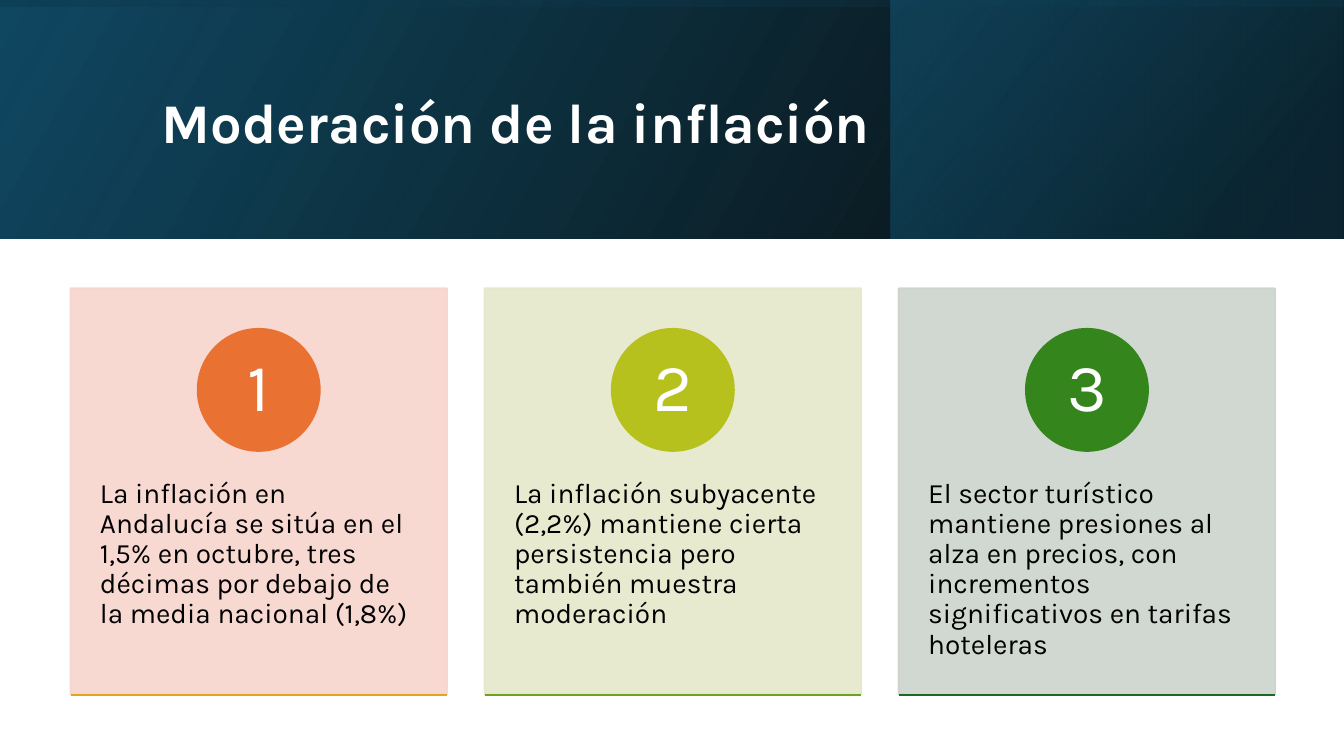
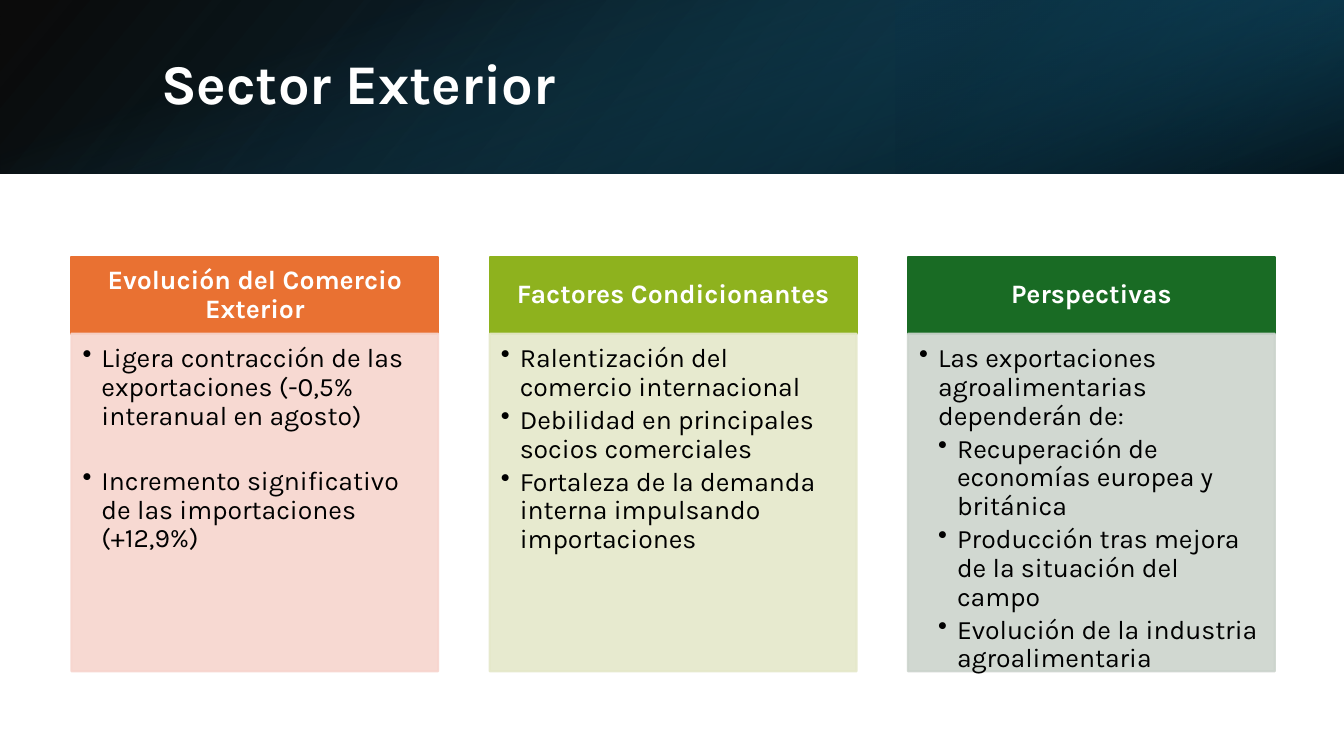
"""Builds two slides on inflation and foreign trade, with gradient title bands."""
from lxml import etree
from pptx import Presentation
from pptx.dml import color
from pptx.enum import shapes, text
from pptx.oxml import ns
from pptx.util import Pt

WIDTH, HEIGHT = 960, 540
FONT = "Karla"
WHITE, BLACK = "FFFFFF", "000000"
NAVY, DEEP, TEAL = "104862", "0B3041", "156082"
ORANGE, FOREST = "E97132", "196B24"
TINTS = ["F7D5CE", "E5E8CA", "CCD4CD"]
TINT_ALPHA = 90

# Gradient stops are (position, colour, opacity)
INFLATION = {
    "title": "Moderación de la inflación",
    "title_box": (108.6, 27.4, 765.4, 123.8),
    "band_height": 170.6,
    "bands": [
        {"left": 0, "turn": 0, "flip": True, "angle": 330,
         "stops": [(0, BLACK, 96), (100, NAVY, 100)]},
        {"left": 636.4, "turn": 0, "flip": True, "angle": 320,
         "stops": [(19, DEEP, 68), (100, TEAL, 48)]},
        {"left": 0, "turn": 270, "flip": True, "angle": 350,
         "stops": [(23, NAVY, 16), (99, BLACK, 45)]},
    ],
    "cards": [
        ("La inflación en Andalucía se sitúa en el 1,5% en octubre, tres décimas "
         "por debajo de la media nacional (1,8%)", ORANGE, "E0A61D"),
        ("La inflación subyacente (2,2%) mantiene cierta persistencia pero también "
         "muestra moderación", "B7C11E", "6BA31D"),
        ("El sector turístico mantiene presiones al alza en precios, con incrementos "
         "significativos en tarifas hoteleras", "34861C", FOREST),
    ],
}

# Bullets are (level, text, space after)
TRADE = {
    "title": "Sector Exterior",
    "title_box": (108, 27.4, 790.6, 69.1),
    "band_height": 124,
    "bands": [
        {"left": 0, "turn": 0, "flip": True, "angle": 140,
         "stops": [(0, BLACK, 96), (100, NAVY, 100)]},
        {"left": 640, "turn": 180, "flip": True, "angle": 320,
         "stops": [(19, DEEP, 68), (100, TEAL, 79)]},
        {"left": 0, "turn": 90, "flip": False, "angle": 340,
         "stops": [(23, TEAL, 0), (99, BLACK, 74)]},
    ],
    "columns": [
        ("Evolución del Comercio Exterior", ORANGE, [
            (1, "Ligera contracción de las exportaciones (-0,5% interanual en agosto)", 26),
            (1, "Incremento significativo de las importaciones (+12,9%)", 3)]),
        ("Factores Condicionantes", "8EB21E", [
            (1, "Ralentización del comercio internacional", 3),
            (1, "Debilidad en principales socios comerciales", 3),
            (1, "Fortaleza de la demanda interna impulsando importaciones", 3)]),
        ("Perspectivas", FOREST, [
            (1, "Las exportaciones agroalimentarias dependerán de:", 3),
            (2, "Recuperación de economías europea y británica", 3),
            (2, "Producción tras mejora de la situación del campo", 3),
            (2, "Evolución de la industria agroalimentaria", 3)]),
    ],
}


def rgb(value):
    return color.RGBColor.from_string(value)


def set_opacity(shape, opacities):
    colours = list(shape.element.spPr.iter(ns.qn("a:srgbClr")))
    for colour, opacity in zip(colours, opacities):
        if opacity < 100:
            etree.SubElement(colour, ns.qn("a:alpha"), val=str(opacity * 1000))


def add_block(page, kind, frame, fill, opacity=100):
    block = page.shapes.add_shape(kind, *map(Pt, frame))
    block.shadow.inherit = False
    block.fill.solid()
    block.fill.fore_color.rgb = block.line.color.rgb = rgb(fill)
    block.line.width = Pt(1.5)
    set_opacity(block, (opacity, opacity))
    return block


def set_frame(box, anchor, margins):
    frame = box.text_frame
    frame.word_wrap = True
    frame.vertical_anchor = anchor
    (frame.margin_left, frame.margin_top,
     frame.margin_right, frame.margin_bottom) = map(Pt, margins)
    return frame


def style(para, words, size, fill, align=text.PP_ALIGN.LEFT, bold=False):
    para.text = words
    para.alignment = align
    para.line_spacing = 0.9
    para.font.name, para.font.size, para.font.bold = FONT, Pt(size), bold
    para.font.color.rgb = rgb(fill)


def write(box, words, size, fill, anchor, margins, **options):
    style(set_frame(box, anchor, margins).paragraphs[0], words, size, fill, **options)


def add_bullets(box, bullets):
    frame = set_frame(box, text.MSO_ANCHOR.TOP, (8, 8, 10.8, 12))
    for index, (level, words, gap) in enumerate(bullets):
        para = frame.add_paragraph() if index else frame.paragraphs[0]
        style(para, words, 19, BLACK)
        para.space_after = Pt(gap)
        para.level = level
        indent = Pt(13.5)
        properties = para._p.get_or_add_pPr()
        properties.set("marL", str(indent * level))
        properties.set("indent", str(-indent))
        bullet = etree.Element(ns.qn("a:buChar"), char="•")
        properties.find(ns.qn("a:defRPr")).addprevious(bullet)


def add_band(page, height, left, turn, flip, angle, stops):
    width = WIDTH - left
    across, down = (height, width) if turn % 180 else (width, height)
    frame = (left + (width - across) / 2, (height - down) / 2, across, down)
    band = page.shapes.add_shape(shapes.MSO_SHAPE.RECTANGLE, *map(Pt, frame))
    band.shadow.inherit = False
    band.line.fill.background()
    band.rotation = turn
    if flip:
        band.element.spPr.xfrm.set("flipH", "1")
    band.fill.gradient()
    band.fill.gradient_angle = 360 - angle
    for stop, (position, fill, _) in zip(band.fill.gradient_stops, stops):
        stop.position = position / 100
        stop.color.rgb = rgb(fill)
    set_opacity(band, [opacity for _, _, opacity in stops])


def add_page(deck, content):
    page = deck.slides.add_slide(deck.slide_layouts[6])
    for band in content["bands"]:
        add_band(page, content["band_height"], **band)
    title = page.shapes.add_textbox(*map(Pt, content["title_box"]))
    write(title, content["title"], 40, WHITE, text.MSO_ANCHOR.MIDDLE,
          (7.2, 3.6, 7.2, 3.6), bold=True)
    return page


def add_cards(page, cards):
    left, pitch, width, top, height, circle = 50.4, 295.8, 268.8, 206, 290, 87
    for index, ((words, fill, rule_fill), tint) in enumerate(zip(cards, TINTS)):
        x = left + index * pitch
        card = add_block(page, shapes.MSO_SHAPE.RECTANGLE, (x, top, width, height),
                         tint, TINT_ALPHA)
        write(card, words, 20, BLACK, text.MSO_ANCHOR.TOP, (21, 136, 21, 26))
        badge = add_block(page, shapes.MSO_SHAPE.OVAL,
                          (x + (width - circle) / 2, top + 29, circle, circle), fill)
        write(badge, str(index + 1), 48, WHITE, text.MSO_ANCHOR.MIDDLE,
              (0, 0, 0, 0), align=text.PP_ALIGN.CENTER)
        y = top + height + 0.5
        rule = page.shapes.add_connector(shapes.MSO_CONNECTOR.STRAIGHT,
                                         *map(Pt, (x, y, x + width, y)))
        rule.line.color.rgb = rgb(rule_fill)
        rule.line.width = Pt(1.5)
        etree.SubElement(rule.element.spPr, ns.qn("a:effectLst"))


def add_columns(page, columns):
    left, pitch, width, top, head_height, body_height = 51, 298.8, 262, 183.6, 54.7, 241.2
    for index, ((heading, fill, bullets), tint) in enumerate(zip(columns, TINTS)):
        x = left + index * pitch
        head = add_block(page, shapes.MSO_SHAPE.RECTANGLE, (x, top, width, head_height), fill)
        write(head, heading, 19, WHITE, text.MSO_ANCHOR.MIDDLE, (10.8, 6, 10.8, 6),
              align=text.PP_ALIGN.CENTER, bold=True)
        body = add_block(page, shapes.MSO_SHAPE.RECTANGLE,
                         (x, top + head_height, width, body_height), tint, TINT_ALPHA)
        add_bullets(body, bullets)


def main():
    deck = Presentation()
    deck.slide_width, deck.slide_height = Pt(WIDTH), Pt(HEIGHT)
    add_cards(add_page(deck, INFLATION), INFLATION["cards"])
    add_columns(add_page(deck, TRADE), TRADE["columns"])
    deck.save("out.pptx")


if __name__ == "__main__":
    main()
